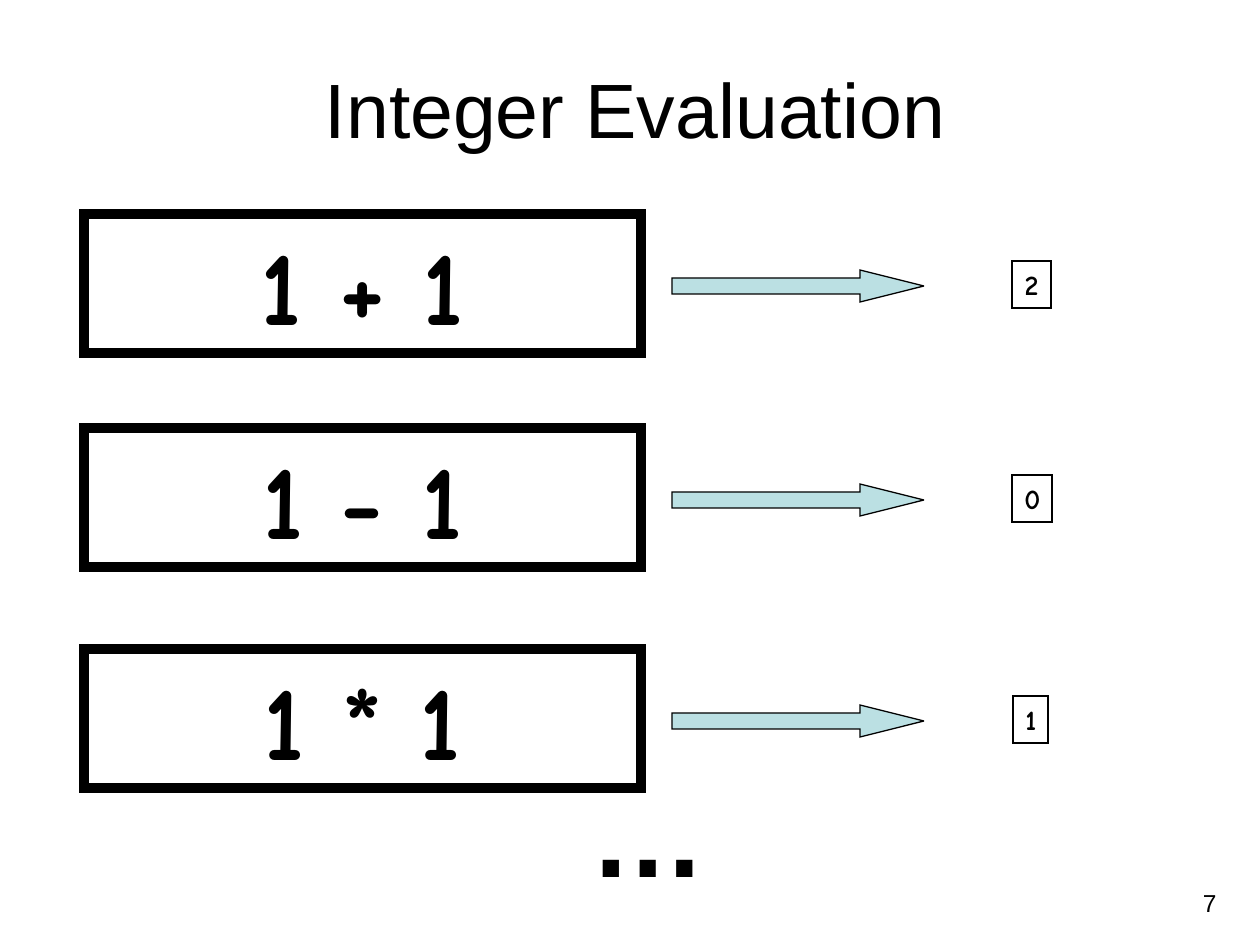
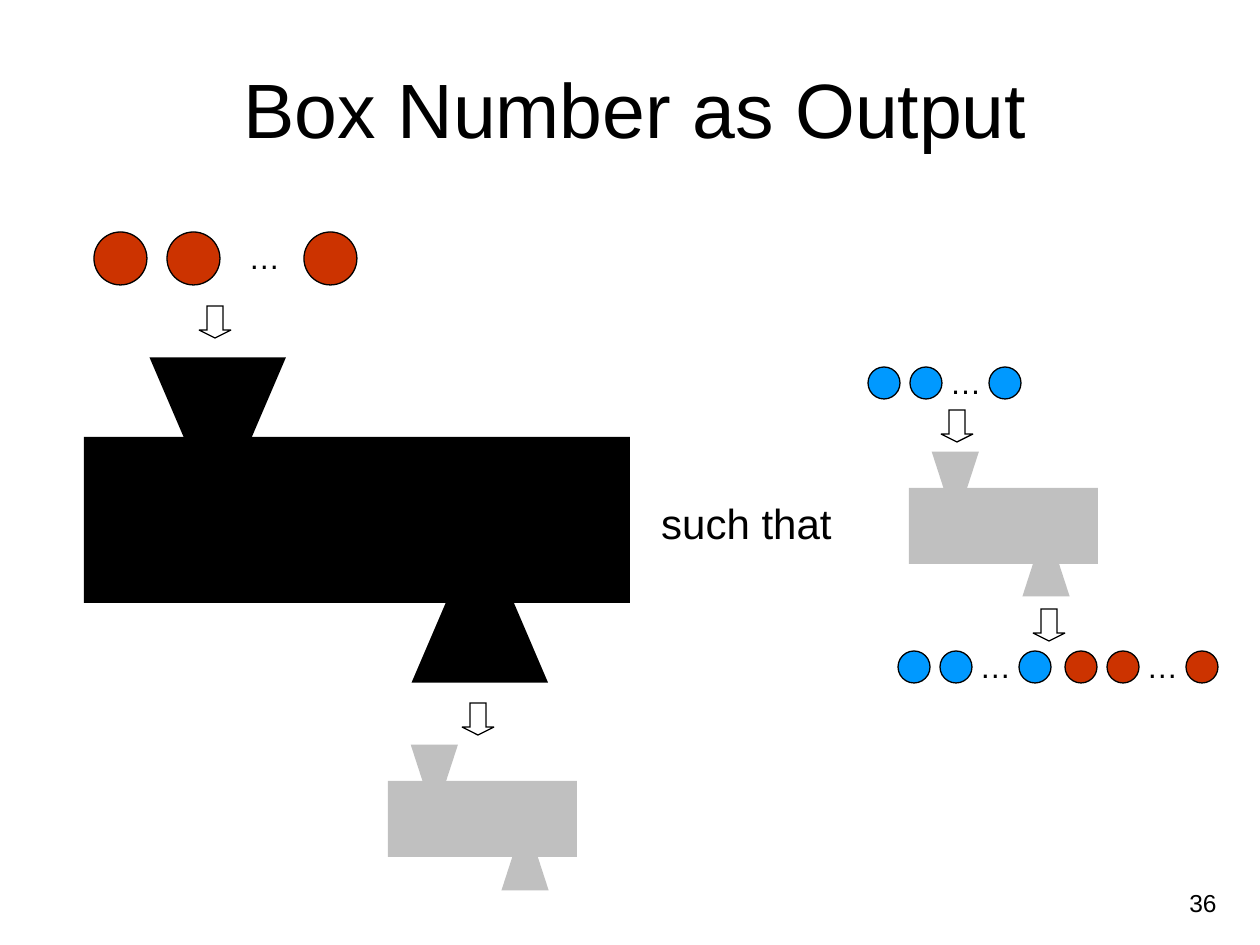
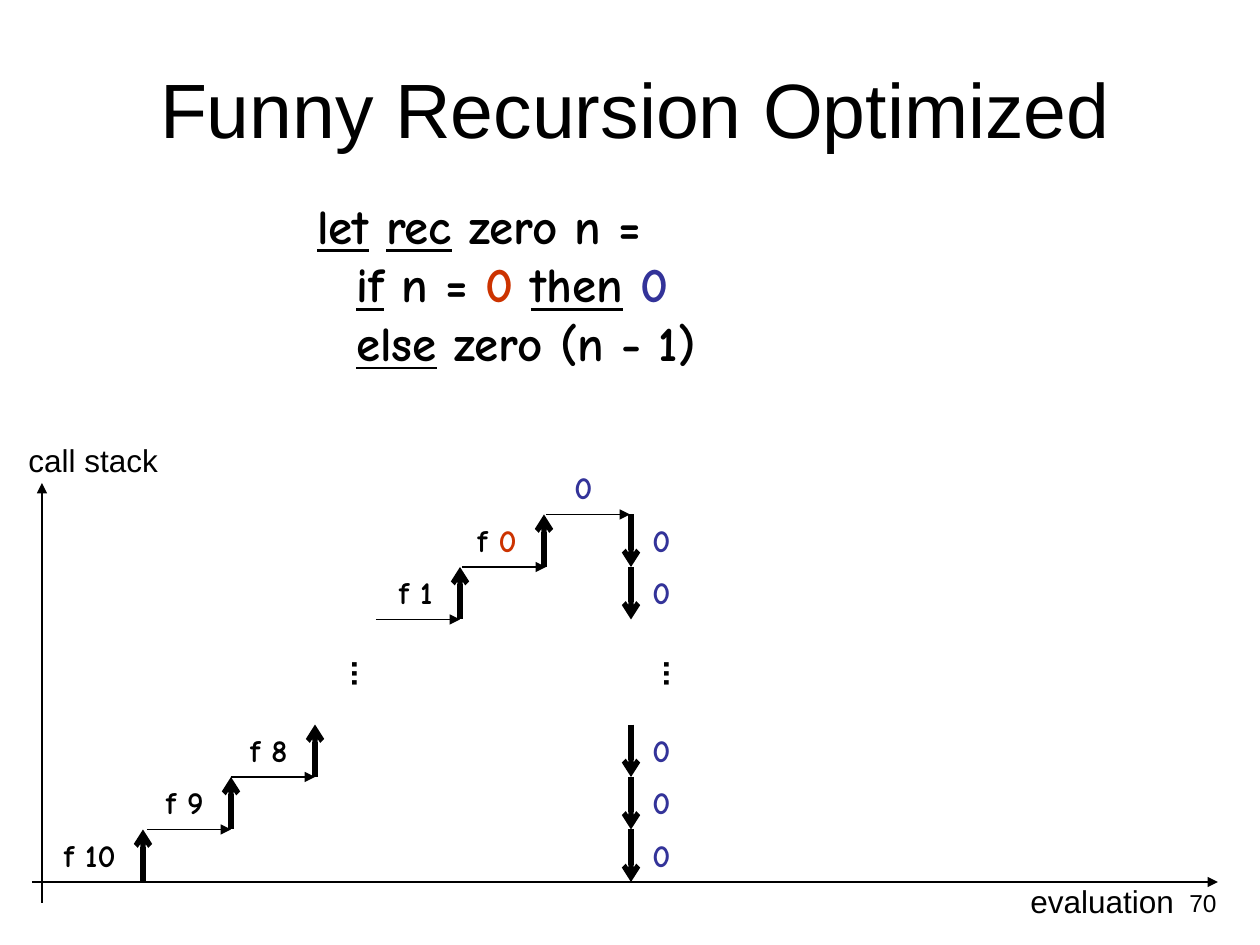
from lxml.etree import SubElement
from pptx import Presentation
from pptx.dml.color import RGBColor
from pptx.enum.shapes import MSO_CONNECTOR, MSO_SHAPE
from pptx.enum.text import MSO_ANCHOR, MSO_AUTO_SIZE, PP_ALIGN
from pptx.oxml.ns import qn
from pptx.util import Inches, Pt

# Shared look
BLACK = RGBColor(0x00, 0x00, 0x00)
RED = RGBColor(0xCC, 0x33, 0x00)
BLUE = RGBColor(0x00, 0x99, 0xFF)
INDIGO = RGBColor(0x33, 0x33, 0x99)
SILVER = RGBColor(0xC0, 0xC0, 0xC0)
PALE_TEAL = RGBColor(0xBB, 0xE0, 0xE3)
SANS, COMIC = "Arial", "Comic Neue"
HAIRLINE, THICK, FRAME = 0.75, 3, 6
LEFT, CENTER, RIGHT = PP_ALIGN.LEFT, PP_ALIGN.CENTER, PP_ALIGN.RIGHT
TITLE_BOX = (32, 37, 1207, 141)
NUMBER_BOX = (935, 882, 294, 44)

# Slide 1: expression, value, top of row, left and width of the value
EVALUATIONS = [
    ("1 + 1", "2", 214, 1012, 39),
    ("1 - 1", "0", 428, 1012, 40),
    ("1 * 1", "1", 649, 1013, 35),
]

# Slide 2: body left, top, width, height, overlap of the outlet, colour
MACHINES = [
    (84, 437, 546, 166, 0, BLACK),
    (388, 781, 189, 76, 3, SILVER),
    (909, 488, 189, 76, 4, SILVER),
]
# Ball diameter, offsets of the balls, offset of the dots
LARGE_BALLS = (53, (0, 73, 210), (142, 0))
SMALL_BALLS = (32, (0, 42, 121), (69, -10))
BALL_ROWS = [
    (94, 232, LARGE_BALLS, RED),
    (868, 367, SMALL_BALLS, BLUE),
    (898, 651, SMALL_BALLS, BLUE),
    (1065, 651, SMALL_BALLS, RED),
]
FLOW_ARROWS = [(199, 306), (462, 703), (941, 410), (1033, 609)]

# Slide 3: code as lines of (text, underlined, colour)
CODE = [
    [("let", True, BLACK), (" ", False, BLACK), ("rec", True, BLACK),
     (" zero n =", False, BLACK)],
    [("if", True, BLACK), (" n = ", False, BLACK), ("0 ", False, RED),
     ("then", True, BLACK), (" ", False, BLACK), ("0", False, INDIGO)],
    [("else", True, BLACK), (" zero (n - 1)", False, BLACK)],
]
# Call name, argument, argument colour, stack level, arrow x
CALLS = [
    ("f ", "10", BLACK, 0, 143),
    ("f ", "9", BLACK, 1, 231),
    ("f ", "8", BLACK, 2, 315),
    ("f ", "1", BLACK, 5, 460),
    ("f ", "0", RED, 6, 544),
]
CALL_WIDTH, CALL_GAP = 84, 15
RETURN_LEVELS = [1, 2, 3, 6, 7]
RETURN_X = 631
STEPS = [(147, 1), (231, 2), (376, 5), (462, 6), (546, 7)]  # start x, level
STEP_LENGTH = 84


def px(length):
    return round(length * Inches(1) / 126)


def place(shape, box):
    shape.left, shape.top, shape.width, shape.height = map(px, box)


def style(run, size, color=BLACK, font=SANS, bold=False, underline=False):
    run.font.size, run.font.name = Pt(size), font
    run.font.bold, run.font.underline = bold, underline
    run.font.color.rgb = color


def write(shape, text, size, align, wrap=False, **look):
    frame = shape.text_frame
    frame.text = text
    frame.word_wrap = wrap
    frame.auto_size = MSO_AUTO_SIZE.NONE if wrap else MSO_AUTO_SIZE.SHAPE_TO_FIT_TEXT
    frame.vertical_anchor = MSO_ANCHOR.TOP
    paragraph = frame.paragraphs[0]
    paragraph.alignment = align
    for run in paragraph.runs:
        style(run, size, **look)


def add_label(slide, box, text, size, align=LEFT, **look):
    label = slide.shapes.add_textbox(*map(px, box))
    write(label, text, size, align, **look)
    return label


def paint(shape, fill=None, line=None):
    shape.shadow.inherit = False
    if fill is None:
        shape.fill.background()
    else:
        shape.fill.solid()
        shape.fill.fore_color.rgb = fill
    if line is None:
        shape.line.fill.background()
    else:
        shape.line.color.rgb = BLACK
        shape.line.width = Pt(line)
        SubElement(shape.line._get_or_add_ln(), qn("a:miter"), lim="800000")


def add_figure(slide, preset, box, fill=None, line=None, adjust=()):
    figure = slide.shapes.add_shape(preset, *map(px, box))
    paint(figure, fill, line)
    for index, value in enumerate(adjust):
        figure.adjustments[index] = value
    return figure


def add_arrow(slide, start, end, width=HAIRLINE, head="triangle"):
    arrow = slide.shapes.add_connector(MSO_CONNECTOR.STRAIGHT, *map(px, start + end))
    arrow.line.color.rgb = BLACK
    arrow.line.width = Pt(width)
    SubElement(arrow.line._get_or_add_ln(), qn("a:tailEnd"), type=head)
    SubElement(arrow._element.spPr, qn("a:effectLst"))


def add_titled_slide(deck, heading, number):
    slide = deck.slides.add_slide(deck.slide_layouts[5])
    title = slide.shapes.title
    place(title, TITLE_BOX)
    write(title, heading, 44, CENTER, wrap=True)
    title.text_frame.vertical_anchor = MSO_ANCHOR.MIDDLE
    add_label(slide, NUMBER_BOX, number, 14, RIGHT, wrap=True)
    return slide


def build_evaluation(deck):
    slide = add_titled_slide(deck, "Integer Evaluation", "7")
    for expression, value, top, value_left, value_width in EVALUATIONS:
        frame = add_figure(slide, MSO_SHAPE.RECTANGLE, (84, top, 557, 139), line=FRAME)
        write(frame, expression, 60, CENTER, wrap=True, font=COMIC, bold=True)
        add_figure(slide, MSO_SHAPE.RIGHT_ARROW, (672, top + 56, 252, 32),
                   PALE_TEAL, HAIRLINE, (0.5, 2))
        result = add_figure(slide, MSO_SHAPE.RECTANGLE,
                            (value_left, top + 47, value_width, 47), line=HAIRLINE)
        write(result, value, 16, RIGHT, font=COMIC, bold=True)
    add_label(slide, (578, 756, 140, 151), "…", 66, RIGHT, bold=True)


def add_funnel(slide, left, width, wide_y, narrow_y, color):
    inset = width / 4
    outline = slide.shapes.build_freeform(px(left), px(wide_y))
    outline.add_line_segments([
        (px(left + width), px(wide_y)),
        (px(left + width - inset), px(narrow_y)),
        (px(left + inset), px(narrow_y)),
    ], close=True)
    paint(outline.convert_to_shape(), color)


def add_machine(slide, left, top, width, height, overlap, color):
    add_figure(slide, MSO_SHAPE.RECTANGLE, (left, top, width, height), color)
    mouth, depth = 0.25 * width, 0.48 * height
    outlet_top = top + height - overlap
    add_funnel(slide, left + 0.12 * width, mouth, top - depth, top, color)
    add_funnel(slide, left + 0.6 * width, mouth, outlet_top + depth, outlet_top, color)


def build_box_number(deck):
    slide = add_titled_slide(deck, "Box Number as Output", "36")
    for machine in MACHINES:
        add_machine(slide, *machine)
    for left, top, (diameter, offsets, (dots_x, dots_y)), color in BALL_ROWS:
        for offset in offsets:
            add_figure(slide, MSO_SHAPE.OVAL, (left + offset, top, diameter, diameter),
                       color, HAIRLINE)
        add_label(slide, (left + dots_x, top + dots_y, 57, 50), "…", 18, CENTER)
    for left, top in FLOW_ARROWS:
        add_figure(slide, MSO_SHAPE.DOWN_ARROW, (left, top, 32, 32),
                   line=HAIRLINE, adjust=(0.5, 0.25))
    add_label(slide, (634, 491, 210, 63), "such that", 24, RIGHT)


def level_y(level):
    return 882 - level * 105 / 2


def add_code(slide):
    code = add_label(slide, (242, 189, 599, 199), "", 28, wrap=True)
    paragraph = code.text_frame.paragraphs[0]
    paragraph.space_before = Pt(7)
    properties = paragraph._p.get_or_add_pPr()
    properties.set("marL", str(px(102)))
    properties.set("indent", str(px(-39)))
    for index, line in enumerate(CODE):
        if index:
            paragraph.add_line_break()
        for text, underline, color in line:
            run = paragraph.add_run()
            run.text = text
            style(run, 28, color, COMIC, True, underline)
    for line_break in paragraph._p.findall(qn("a:br")):
        SubElement(line_break, qn("a:rPr"), sz="2800")


def build_recursion(deck):
    slide = add_titled_slide(deck, "Funny Recursion Optimized", "70")
    add_code(slide)

    # Axes
    add_arrow(slide, (32, 882), (1218, 882))
    add_arrow(slide, (42, 903), (42, 483))
    add_label(slide, (16, 435, 160, 50), "call stack", 18)
    add_label(slide, (1018, 876, 174, 50), "evaluation", 18)

    # Calls climbing the stack
    for name, argument, color, level, x in CALLS:
        top = level_y(level + 1)
        label = add_label(slide, (x - CALL_GAP - CALL_WIDTH, top, CALL_WIDTH, 50),
                          name, 18, RIGHT, font=COMIC, bold=True)
        run = label.text_frame.paragraphs[0].add_run()
        run.text = argument
        style(run, 18, color, COMIC, True)
        add_arrow(slide, (x, level_y(level)), (x, top), THICK, "arrow")
    for x, level in STEPS:
        add_arrow(slide, (x, level_y(level)), (x + STEP_LENGTH, level_y(level)))

    # Returned zeros
    zeros = [(562, level_y(8))] + [(640, level_y(level)) for level in RETURN_LEVELS]
    for left, top in zeros:
        add_label(slide, (left, top, 43, 50), "0", 18, color=INDIGO, font=COMIC, bold=True)
    for level in RETURN_LEVELS:
        add_arrow(slide, (RETURN_X, level_y(level)), (RETURN_X, level_y(level - 1)),
                  THICK, "arrow")

    # Skipped levels
    for left in (327, 639):
        dots = add_label(slide, (left, 648, 63, 39), "...", 18, RIGHT, bold=True)
        frame = dots.text_frame
        frame.margin_left = frame.margin_right = Inches(0.05)
        frame.margin_top = frame.margin_bottom = Inches(0.1)
        frame._txBody.bodyPr.set("vert", "eaVert")


def main():
    deck = Presentation()
    deck.slide_width, deck.slide_height = px(1260), px(945)
    build_evaluation(deck)
    build_box_number(deck)
    build_recursion(deck)
    deck.save("out.pptx")


if __name__ == "__main__":
    main()
